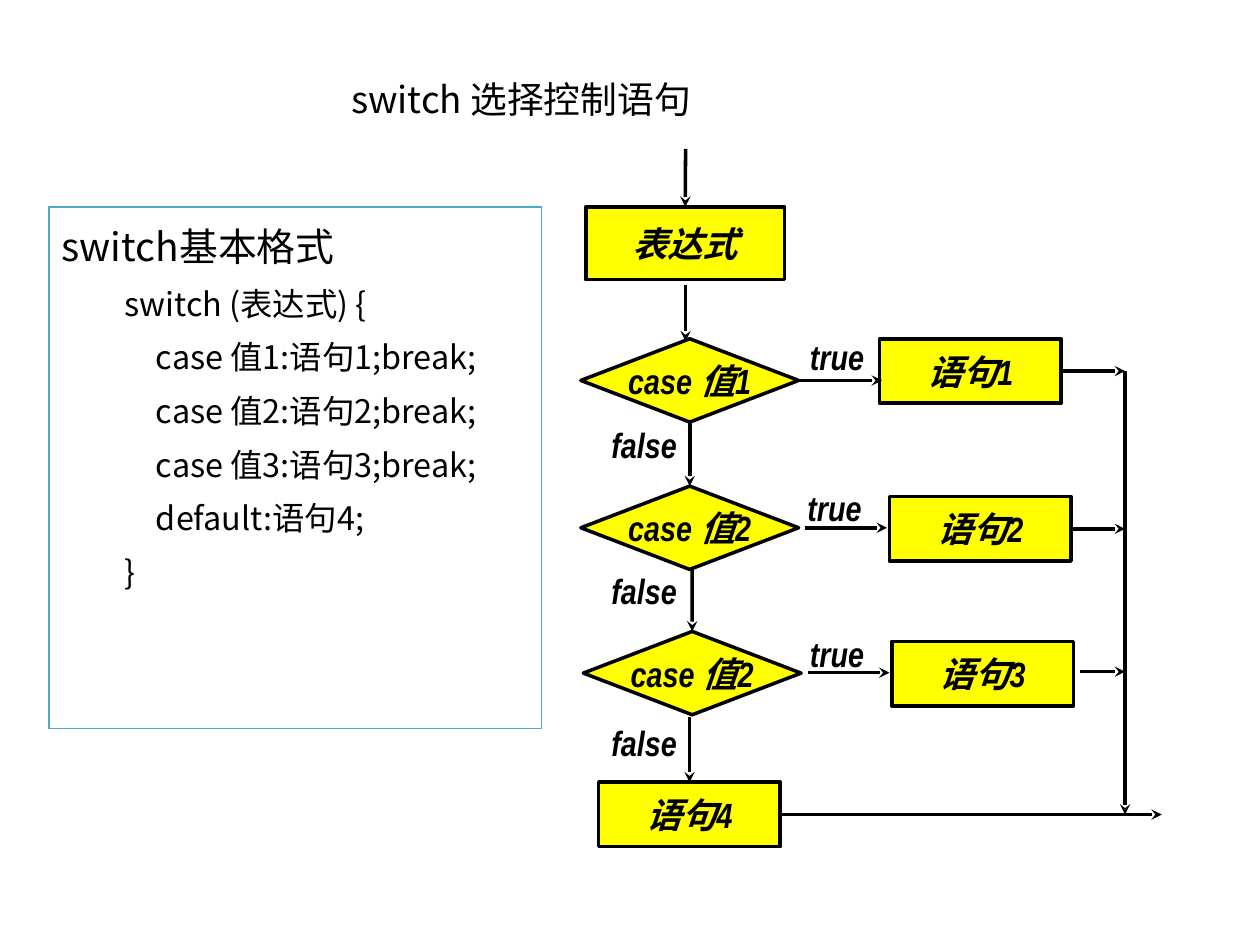
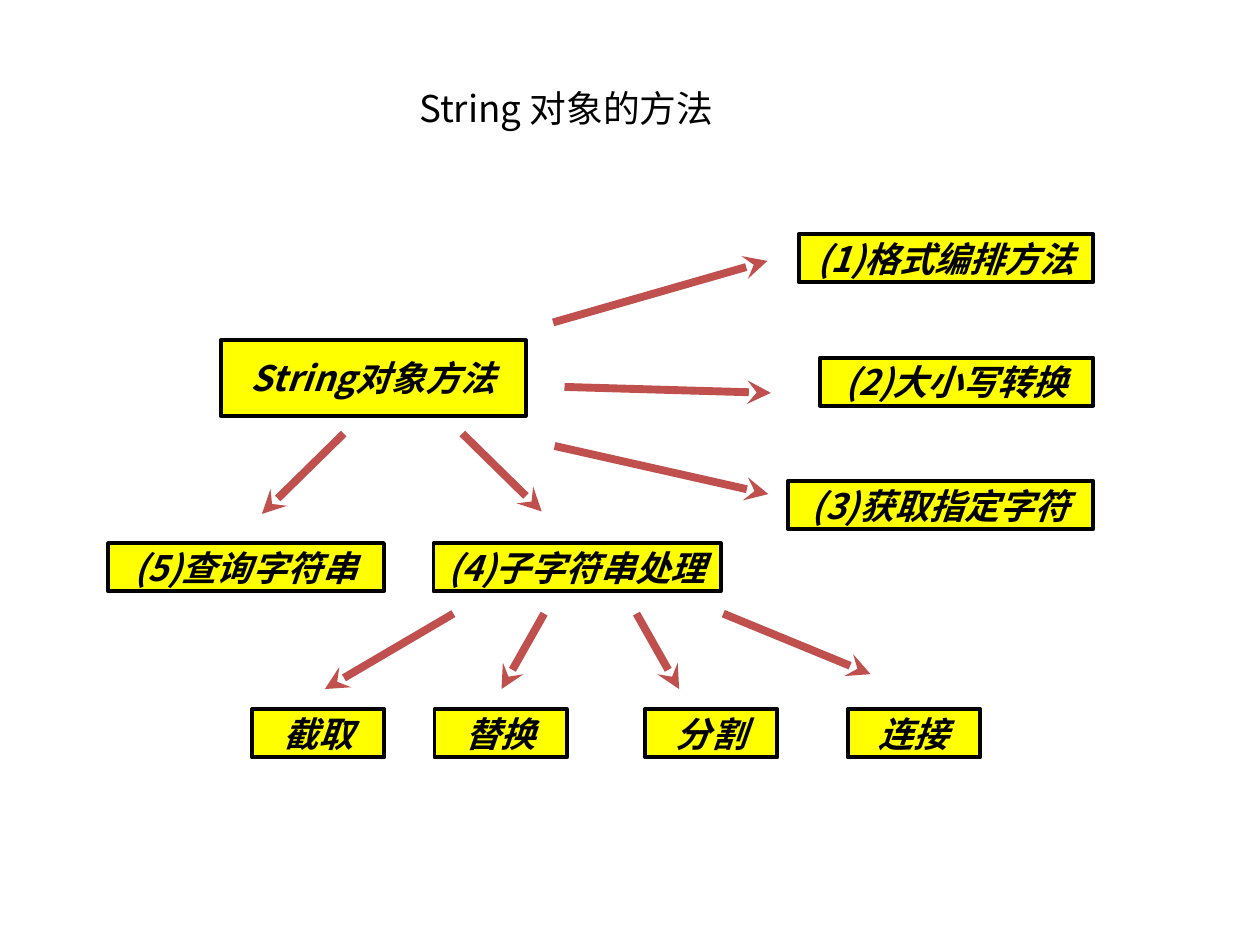
from dataclasses import dataclass

from lxml.etree import SubElement
from pptx import Presentation
from pptx.dml.color import RGBColor
from pptx.enum.shapes import MSO_CONNECTOR, MSO_SHAPE
from pptx.enum.text import MSO_ANCHOR, MSO_AUTO_SIZE, PP_ALIGN
from pptx.oxml.ns import qn
from pptx.util import Cm, Pt


@dataclass(frozen=True)
class Theme:
    ink = RGBColor(0, 0, 0)
    paper = RGBColor(255, 255, 255)
    node = RGBColor(255, 255, 0)
    frame = RGBColor(0x4B, 0xAC, 0xC6)
    accent = RGBColor(0xC0, 0x50, 0x4D)
    cjk_font = "Noto Sans CJK SC"
    flow_font = "Arial Narrow"
    title_size = 21
    heading_size = 22.2
    code_size = 18.5
    node_size = 20
    flow_line = 2
    node_line = 2.25
    arrow_line = 4.5


theme = Theme()
TOP, BOTTOM, RIGHT = 0, 2, 3


def format_paragraph(para, font_name, size, strong=False):
    """Set the Latin and East Asian fonts, size, colour and bold italic."""
    font = para.font
    font.name = font_name
    font.size = Pt(size)
    font.bold = font.italic = strong
    font.color.rgb = theme.ink
    defaults = para._p.pPr.find(qn("a:defRPr"))
    SubElement(defaults, qn("a:ea"), typeface=theme.cjk_font)


def add_node(page, kind, bounds, text, font_name, line_width):
    """Add a yellow node, or a plain label when kind is None."""
    bounds = [Cm(length) for length in bounds]
    if kind is None:
        box = page.shapes.add_textbox(*bounds)
    else:
        box = page.shapes.add_shape(kind, *bounds)
        box.shadow.inherit = False
        box.fill.solid()
        box.fill.fore_color.rgb = theme.node
        box.line.color.rgb = theme.ink
        box.line.width = Pt(line_width)
    frame = box.text_frame
    frame.word_wrap = False
    frame.vertical_anchor = MSO_ANCHOR.MIDDLE
    para = frame.paragraphs[0]
    para.text = text
    para.alignment = PP_ALIGN.CENTER
    format_paragraph(para, font_name, theme.node_size, strong=True)
    return box


deck = Presentation()
deck.slide_width, deck.slide_height = Cm(25.4), Cm(19.05)

pages = []
for layout, title, bounds in (
    (1, "switch 选择控制语句", (2.77, 1.4, 15.47, 1.19)),
    (5, "String 对象的方法", (2.59, 1.57, 17.65, 1.22)),
):
    page = deck.slides.add_slide(deck.slide_layouts[layout])
    box = page.shapes.title
    box.left, box.top, box.width, box.height = [Cm(length) for length in bounds]
    box.text_frame.text = title
    box.text_frame.auto_size = MSO_AUTO_SIZE.NONE
    box.text_frame.vertical_anchor = MSO_ANCHOR.MIDDLE
    para = box.text_frame.paragraphs[0]
    para.alignment = PP_ALIGN.CENTER
    format_paragraph(para, theme.cjk_font, theme.title_size)
    pages.append(page)
switch_page, string_page = pages

# Slide 1: syntax panel
panel = switch_page.placeholders[1]
panel.left, panel.top, panel.width, panel.height = Cm(0.99), Cm(4.17), Cm(9.93), Cm(10.52)
panel.fill.solid()
panel.fill.fore_color.rgb = theme.paper
panel.line.color.rgb = theme.frame
panel.line.width = Pt(0.75)
panel.text_frame.auto_size = MSO_AUTO_SIZE.NONE
# text, level, left margin, first-line indent
syntax = [("switch基本格式", 0, 0.61, -0.61), ("switch (表达式) {", 1, 1.9, -0.63)]
syntax += [(f"case 值{n}:语句{n};break;", 1, 1.9, 0) for n in (1, 2, 3)]
syntax += [("default:语句4;", 1, 1.9, 0), ("}", 1, 1.9, -0.63)]
panel.text_frame.text = "\n".join(text for text, *_ in syntax)
for para, (text, level, margin, indent) in zip(panel.text_frame.paragraphs, syntax):
    settings = para._p.get_or_add_pPr()
    settings.set("marL", str(Cm(margin)))
    settings.set("indent", str(Cm(indent)))
    SubElement(settings, qn("a:buNone"))
    para.level = level
    para.line_spacing = 1.2
    para.space_before = Pt(4)
    format_paragraph(para, theme.cjk_font, theme.code_size if level else theme.heading_size)

# Slide 1: flow chart
flow_style = (theme.flow_font, theme.flow_line)
expression = add_node(switch_page, MSO_SHAPE.RECTANGLE, (11.81, 4.17, 4.01, 1.47), "表达式", *flow_style)
decisions = [
    add_node(switch_page, MSO_SHAPE.FLOWCHART_DECISION, (left, top, 4.39, 1.68), text, *flow_style)
    for left, top, text in (
        (11.71, 6.83, "case 值1"),
        (11.71, 9.8, "case 值2"),
        (11.76, 12.73, "case 值2"),
    )
]
statements = [
    add_node(switch_page, MSO_SHAPE.FLOWCHART_PROCESS, (left, top, 3.66, 1.3), f"语句{n}", *flow_style)
    for n, (left, top) in enumerate(
        ((17.73, 6.83), (17.93, 10.01), (17.98, 12.93), (12.07, 15.77)), start=1
    )
]
for text, left, top, width in (
    ("true", 16.05, 6.65, 1.65),
    ("true", 16, 9.68, 1.65),
    ("true", 16.05, 12.62, 1.65),
    ("false", 12.07, 8.41, 1.83),
    ("false", 12.07, 11.35, 1.83),
    ("false", 12.07, 14.43, 1.83),
):
    add_node(switch_page, None, (left, top, width, 1.09), text, *flow_style)

# x and y of both ends, then the joined node and side at each end
bus = 22.68
flow_routes = [
    (13.82, 3, 13.82, 4.17, None, (expression, TOP)),
    (13.82, 5.74, 13.82, 6.88, None, None),
    (16.1, 7.67, 17.78, 7.67, (decisions[0], RIGHT), None),
    (16.23, 10.64, 17.88, 10.64, None, None),
    (16.28, 13.56, 17.93, 13.56, None, None),
    (13.9, 8.51, 13.9, 9.8, (decisions[0], BOTTOM), (decisions[1], TOP)),
    (13.95, 11.43, 13.95, 12.73, None, (decisions[2], TOP)),
    (13.9, 14.45, 13.9, 15.77, None, (statements[3], TOP)),
    (bus, 7.48, bus, 16.42, None, None),
    (21.39, 7.48, bus, 7.48, (statements[0], RIGHT), None),
    (21.59, 10.66, bus, 10.66, (statements[1], RIGHT), None),
    (21.77, 13.54, bus, 13.54, None, None),
    (15.73, 16.42, 23.42, 16.42, (statements[3], RIGHT), None),
]

# Slide 2: tree of String methods
right_edge, row_height = 22.04, 0.97
methods = [("String对象方法", 4.45, 6.86, 6.15, 1.52)]
for row, (text, width) in enumerate(
    (("(1)格式编排方法", 5.94), ("(2)大小写转换", 5.51), ("(3)获取指定字符", 6.15))
):
    methods.append((text, right_edge - width, 4.72 + row * 2.49, width, row_height))
methods += [
    ("(5)查询字符串", 2.18, 10.95, 5.56, row_height),
    ("(4)子字符串处理", 8.74, 10.95, 5.79, row_height),
]
for text, left in (("截取", 5.08), ("替换", 8.76), ("分割", 13), ("连接", 17.09)):
    methods.append((text, left, 14.3, 2.67, row_height))
for text, *bounds in methods:
    add_node(string_page, MSO_SHAPE.RECTANGLE, bounds, text, theme.cjk_font, theme.node_line)

tree_routes = [
    (*ends, None, None)
    for ends in (
        (11.15, 6.5, 15.47, 5.26),
        (11.38, 7.8, 15.54, 7.92),
        (11.18, 8.99, 15.49, 9.96),
        (6.93, 8.74, 5.28, 10.36),
        (9.32, 8.74, 10.92, 10.31),
        (9.14, 12.37, 6.55, 13.89),
        (10.97, 12.37, 10.11, 13.89),
        (12.83, 12.37, 13.69, 13.89),
        (14.58, 12.37, 17.55, 13.59),
    )
]

# Arrows of both slides
for page, color, width, routes in (
    (switch_page, theme.ink, theme.flow_line, flow_routes),
    (string_page, theme.accent, theme.arrow_line, tree_routes),
):
    for *ends, begin, finish in routes:
        arrow = page.shapes.add_connector(MSO_CONNECTOR.STRAIGHT, *[Cm(length) for length in ends])
        if begin:
            arrow.begin_connect(*begin)
        if finish:
            arrow.end_connect(*finish)
        arrow.line.color.rgb = color
        arrow.line.width = Pt(width)
        properties = arrow._element.spPr
        SubElement(properties.find(qn("a:ln")), qn("a:tailEnd"), type="stealth")
        SubElement(properties, qn("a:effectLst"))

deck.save("out.pptx")
